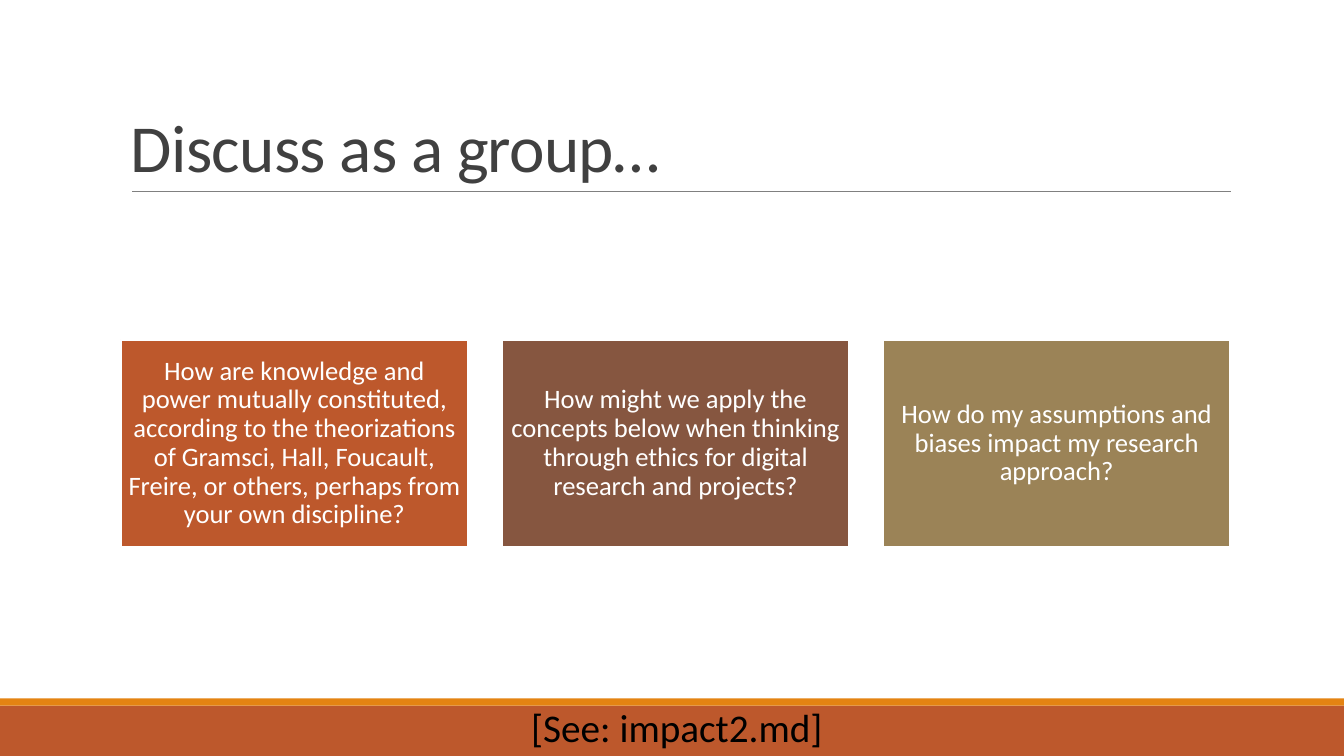
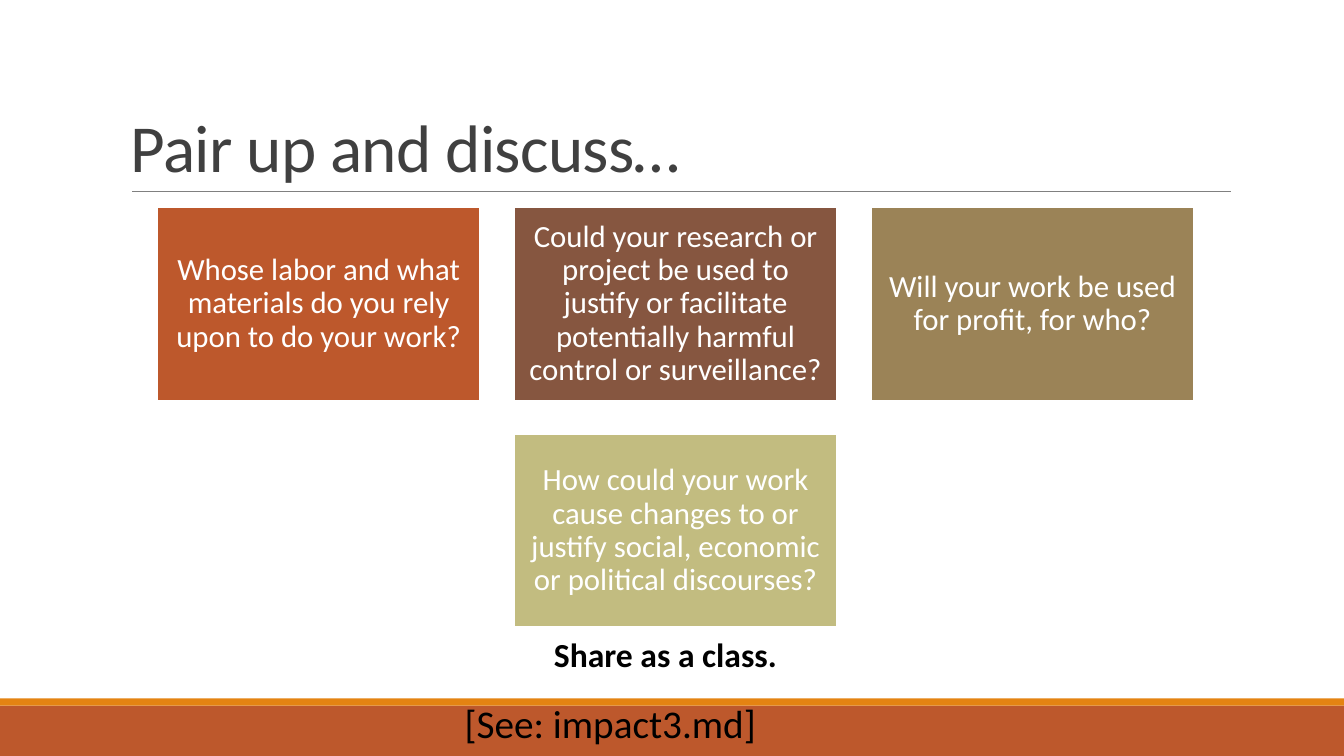
"""Build two discussion slides with question cards."""
from lxml import etree
from pptx import Presentation
from pptx.dml.color import RGBColor
from pptx.enum.shapes import MSO_CONNECTOR, MSO_SHAPE
from pptx.enum.text import MSO_ANCHOR, PP_ALIGN
from pptx.oxml.ns import qn
from pptx.util import Emu, Pt

RECTANGLE = MSO_SHAPE.RECTANGLE
STRAIGHT = MSO_CONNECTOR.STRAIGHT
LEFT, CENTER = PP_ALIGN.LEFT, PP_ALIGN.CENTER
TOP, MIDDLE, BOTTOM = MSO_ANCHOR.TOP, MSO_ANCHOR.MIDDLE, MSO_ANCHOR.BOTTOM

EMU_PER_PX = 9144
SLIDE_WIDTH, SLIDE_HEIGHT = 1333, 750
CARDS_CENTER = 670
CARDS_PER_ROW = 3
FONT = "Calibri"
COLORS = {
    "band": "BD582C",
    "stripe": "E48312",
    "rule": "808080",
    "title": "404040",
    "black": "000000",
    "white": "FFFFFF",
}
CARD_FILLS = ["BD582C", "865640", "9B8357", "C2BC80"]

GROUP_QUESTIONS = [
    "How are knowledge and power mutually constituted, according to the "
    "theorizations of Gramsci, Hall, Foucault, Freire, or others, perhaps "
    "from your own discipline?",
    "How might we apply the concepts below when thinking through ethics for "
    "digital research and projects?",
    "How do my assumptions and biases impact my research approach?",
]
PAIR_QUESTIONS = [
    "Whose labor and what materials do you rely upon to do your work?",
    "Could your research or project be used to justify or facilitate "
    "potentially harmful control or surveillance?",
    "Will your work be used for profit, for who?",
    "How could your work cause changes to or justify social, economic or "
    "political discourses?",
]


def px(*lengths):
    return [Emu(length * EMU_PER_PX) for length in lengths]


def rgb(value):
    return RGBColor.from_string(value)


def write_text(shape, text, size, color="black", bold=False, align=LEFT,
               anchor=TOP, line_spacing=1.0, tracking=0, insets=(10, 5),
               wrap=True):
    frame = shape.text_frame
    frame.word_wrap = wrap
    frame.vertical_anchor = anchor
    horizontal, vertical = px(*insets)
    frame.margin_left = frame.margin_right = horizontal
    frame.margin_top = frame.margin_bottom = vertical
    paragraph = frame.paragraphs[0]
    paragraph.alignment = align
    paragraph.line_spacing = line_spacing
    run = paragraph.add_run()
    run.text = text
    run.font.name = FONT
    run.font.size = Pt(size)
    run.font.bold = bold
    run.font.color.rgb = rgb(COLORS[color])
    if tracking:
        run._r.get_or_add_rPr().set("spc", str(tracking))


def add_text(slide, text, box, **text_format):
    write_text(slide.shapes.add_textbox(*px(*box)), text, **text_format)


def add_rectangle(slide, box, fill, line_width=0):
    shape = slide.shapes.add_shape(RECTANGLE, *px(*box))
    shape.shadow.inherit = False
    shape.fill.solid()
    shape.fill.fore_color.rgb = rgb(fill)
    if line_width:
        shape.line.color.rgb = rgb(COLORS["white"])
        shape.line.width = Pt(line_width)
    else:
        shape.line.fill.background()
    return shape


def add_rule(slide, left, right, top):
    rule = slide.shapes.add_connector(STRAIGHT, *px(left, top, right, top))
    rule.line.color.rgb = rgb(COLORS["rule"])
    rule.line.width = Pt(0.5)
    etree.SubElement(rule._element.spPr, qn("a:effectLst"))


def add_base_slide(presentation, title):
    slide = presentation.slides.add_slide(presentation.slide_layouts[6])
    add_rectangle(slide, (0, 700, SLIDE_WIDTH, 50), COLORS["band"])
    add_rectangle(slide, (0, 693, SLIDE_WIDTH, 7), COLORS["stripe"])
    add_rule(slide, 131, 1221, 190)
    add_text(slide, title, (120, 31, 1100, 159), size=48, color="title",
             anchor=BOTTOM, line_spacing=0.85, tracking=-50)
    return slide


def add_cards(slide, questions, top, width, height, gap, size, inset,
              line_width):
    for start in range(0, len(questions), CARDS_PER_ROW):
        row = questions[start:start + CARDS_PER_ROW]
        row_width = len(row) * (width + gap) - gap
        left = CARDS_CENTER - row_width // 2
        row_top = top + start // CARDS_PER_ROW * (height + gap)
        for column, question in enumerate(row):
            box = (left + column * (width + gap), row_top, width, height)
            card = add_rectangle(slide, box, CARD_FILLS[start + column],
                                 line_width)
            write_text(card, question, size, color="white", align=CENTER,
                       anchor=MIDDLE, line_spacing=0.9,
                       insets=(inset, inset))


def add_reference(slide, text, left, top):
    add_text(slide, text, (left, top, 312, 57), size=28, wrap=False)


def build_group_slide(presentation):
    slide = add_base_slide(presentation, "Discuss as a group…")
    add_cards(slide, GROUP_QUESTIONS, top=337, width=344, height=206, gap=34,
              size=19, inset=7, line_width=1.25)
    add_reference(slide, "[See: impact2.md]", 517, 693)


def build_pair_slide(presentation):
    slide = add_base_slide(presentation, "Pair up and discuss…")
    add_text(slide, "Share as a class.", (386, 624, 548, 50), size=24,
             bold=True, align=CENTER)
    add_reference(slide, "[See: impact3.md]", 451, 689)
    add_cards(slide, PAIR_QUESTIONS, top=205, width=322, height=193, gap=32,
              size=22, inset=9, line_width=2)


def main():
    presentation = Presentation()
    presentation.slide_width, presentation.slide_height = px(
        SLIDE_WIDTH, SLIDE_HEIGHT)
    build_group_slide(presentation)
    build_pair_slide(presentation)
    presentation.save("out.pptx")


if __name__ == "__main__":
    main()
